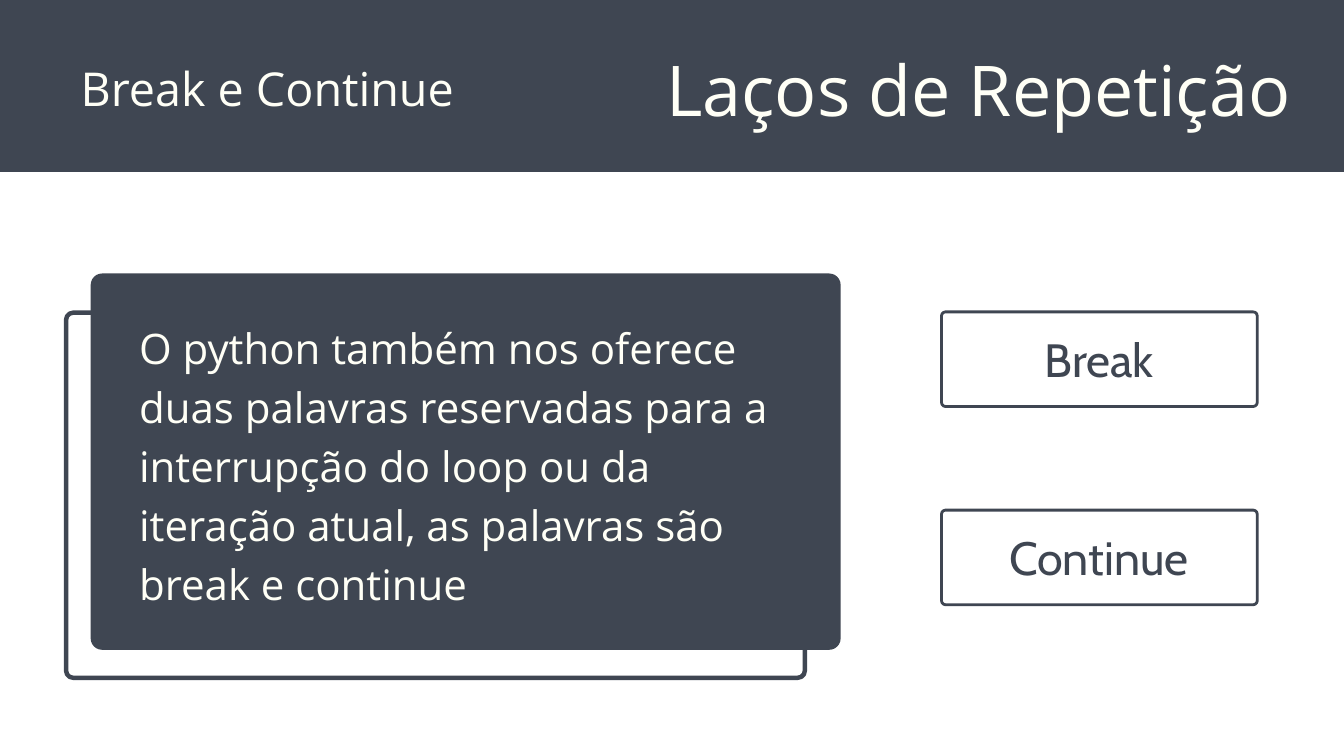
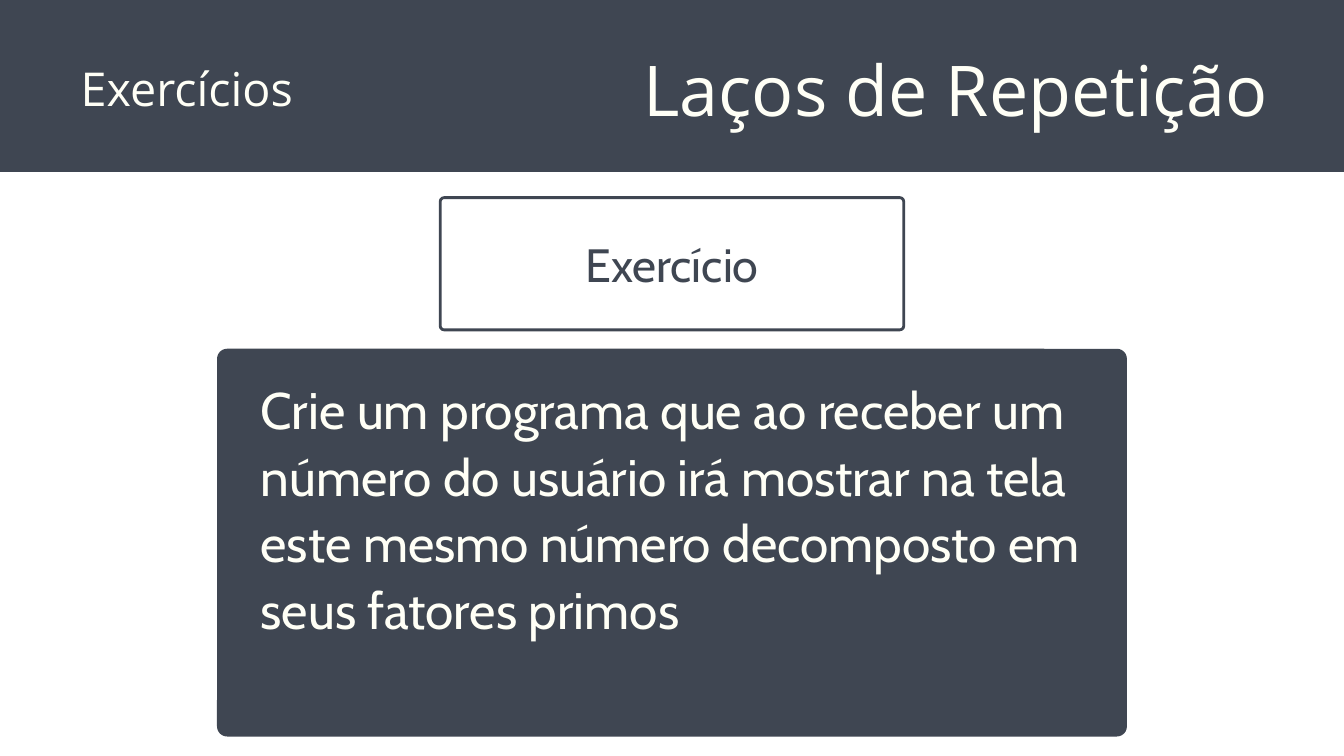
from pptx import Presentation
from pptx.dml.color import RGBColor
from pptx.enum.shapes import MSO_SHAPE as SHAPE
from pptx.enum.text import MSO_AUTO_SIZE as AUTO, PP_ALIGN as ALIGN
from pptx.util import Emu, Pt

PX = 9144  # one px is a hundredth of an inch
SLATE = RGBColor(0x3F, 0x46, 0x52)
IVORY = RGBColor(0xFF, 0xFF, 0xF6)
WIDTH, HEIGHT, BAND_HEIGHT = 2000, 1125, 256
TITLE = "Laços de Repetição"

# Text styles: font, size, line spacing, colour, alignment
TITLE_STYLE = ("Open Sans", 75, 105, IVORY, ALIGN.CENTER)
TOPIC_STYLE = ("Open Sans", 50, 70, IVORY, ALIGN.LEFT)
LABEL_STYLE = ("Cabin", 50, 65, SLATE, ALIGN.CENTER)
BODY_STYLE = ("Open Sans", 45, 63, IVORY, ALIGN.LEFT)
TASK_STYLE = ("Cabin", 55, 71.5, IVORY, ALIGN.LEFT)

# Content: boxes are left, top, width, height in px
# Panels: box, corner radius; frames: outer box, corner radius, border in pt
SLIDES = [
    {
        "topic": "Break e Continue",
        "title_box": (983, 49, 946, 147),
        "panels": [((135, 407, 1116, 560), 17)],
        "frames": [((95, 462, 1106, 550), 14, 4.75)]
        + [((1399, top, 474, 145), 8, 3) for top in (462, 757)],
        "texts": [
            ("O python também nos oferece duas palavras reservadas para a "
             "interrupção do loop ou da iteração atual, as palavras são "
             "break e continue", (207, 468, 978, 433), BODY_STYLE),
            ("Break", (1432, 486, 407, 91), LABEL_STYLE),
            ("Continue", (1432, 780, 407, 91), LABEL_STYLE),
        ],
    },
    {
        "topic": "Exercícios",
        "title_box": (957, 49, 930, 142),
        "panels": [((323, 519, 1354, 577), 15)],
        "frames": [((653, 292, 694, 201), 8, 3)],
        "texts": [
            ("Exercício", (804, 344, 392, 91), LABEL_STYLE),
            ("Crie um programa que ao receber um número do usuário irá "
             "mostrar na tela este mesmo número decomposto em seus fatores "
             "primos", (388, 555, 1223, 496), TASK_STYLE),
        ],
    },
]


def px(*lengths):
    return [Emu(round(n * PX)) for n in lengths]


def add_panel(slide, box, radius=0):
    kind = SHAPE.ROUNDED_RECTANGLE if radius else SHAPE.RECTANGLE
    sp = slide.shapes.add_shape(kind, *px(*box))
    if radius:
        sp.adjustments[0] = radius / min(box[2:])
    sp.shadow.inherit = False
    sp.fill.solid()
    sp.fill.fore_color.rgb = SLATE
    sp.line.fill.background()
    return sp


def add_frame(slide, box, radius, border):
    # The line is centred on the edge, so move the edge in by half of it
    half = border / 72 * 100 / 2
    left, top, width, height = box
    inner = (left + half, top + half, width - 2 * half, height - 2 * half)
    sp = add_panel(slide, inner, radius - half)
    sp.fill.background()
    sp.line.color.rgb = SLATE
    sp.line.width = Pt(border)


def add_text(slide, text, box, style):
    font, size, spacing, color, align = style
    tf = slide.shapes.add_textbox(*px(*box)).text_frame
    tf.margin_left = tf.margin_right = tf.margin_top = tf.margin_bottom = 0
    tf.word_wrap = True
    tf.auto_size = AUTO.SHAPE_TO_FIT_TEXT
    tf.text = text
    p = tf.paragraphs[0]
    p.alignment = align
    p.line_spacing = Pt(spacing)
    r = p.runs[0]
    r.font.name = font
    r.font.size = Pt(size)
    r.font.color.rgb = color


def add_slide(prs, content):
    slide = prs.slides.add_slide(prs.slide_layouts[6])
    # Header band
    add_panel(slide, (0, 0, WIDTH, BAND_HEIGHT))
    add_text(slide, TITLE, content["title_box"], TITLE_STYLE)
    add_text(slide, content["topic"], (120, 75, 886, 95), TOPIC_STYLE)
    # Body
    for panel in content["panels"]:
        add_panel(slide, *panel)
    for frame in content["frames"]:
        add_frame(slide, *frame)
    for text in content["texts"]:
        add_text(slide, *text)


def main():
    prs = Presentation()
    prs.slide_width, prs.slide_height = px(WIDTH, HEIGHT)
    for content in SLIDES:
        add_slide(prs, content)
    prs.save("out.pptx")


if __name__ == "__main__":
    main()
